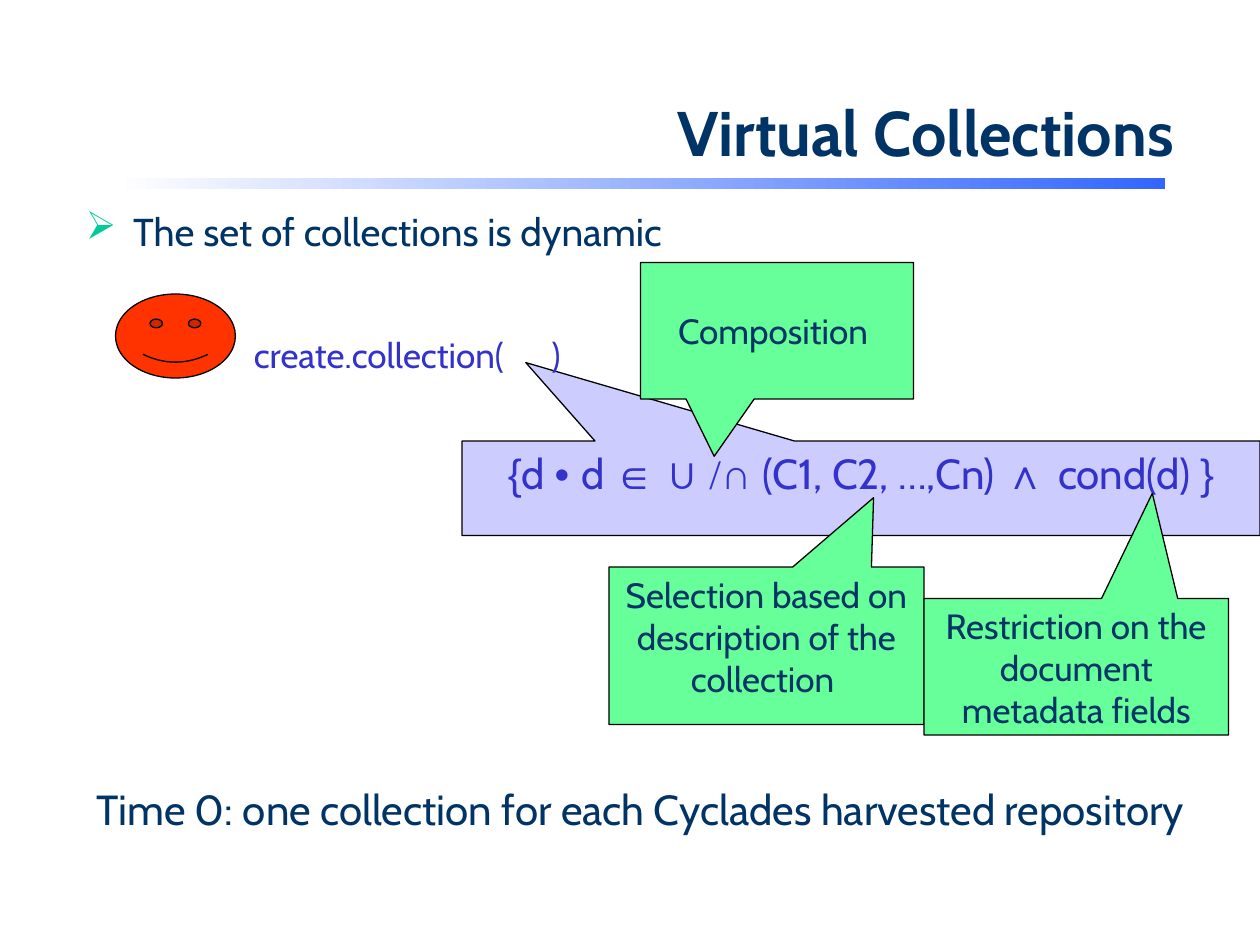
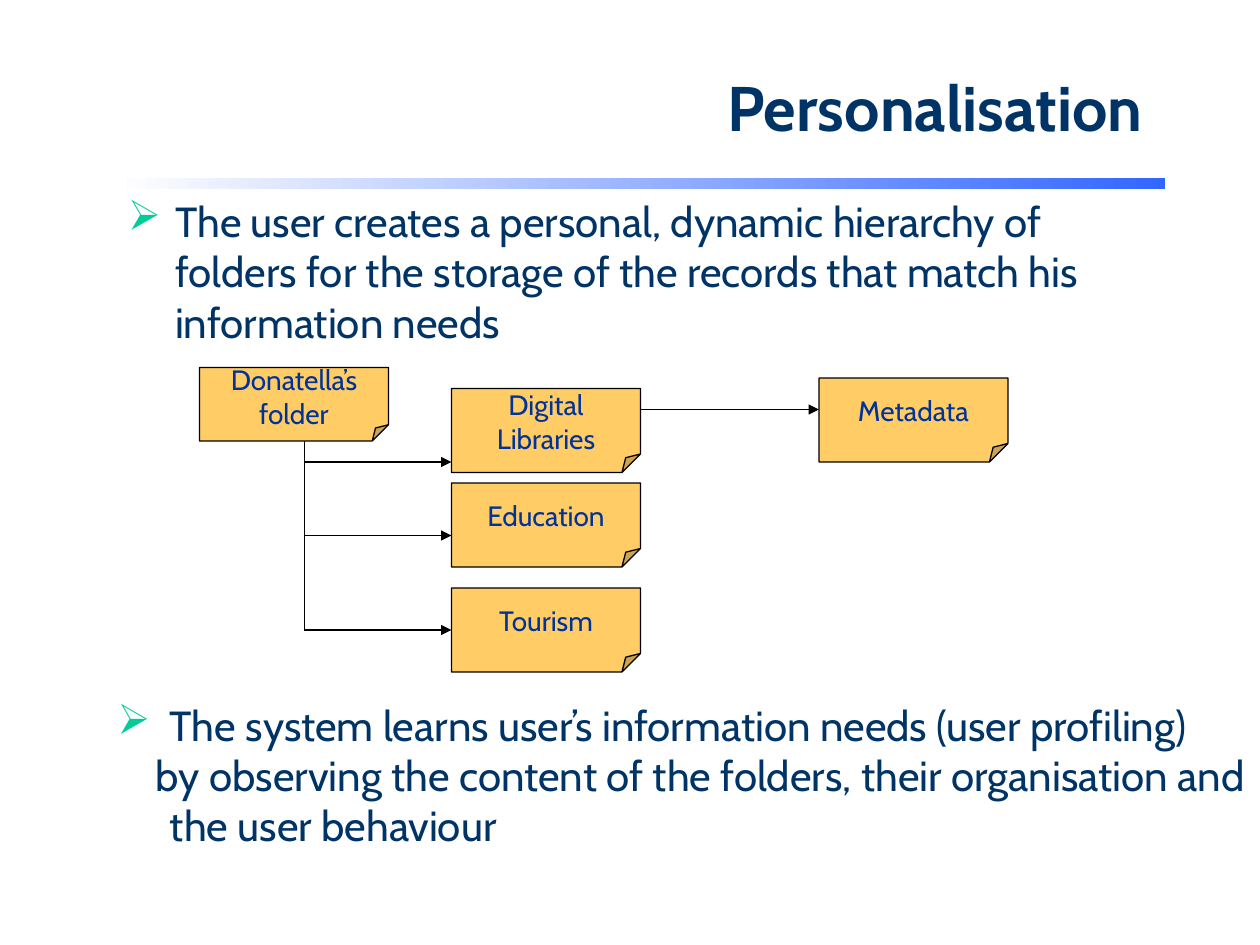
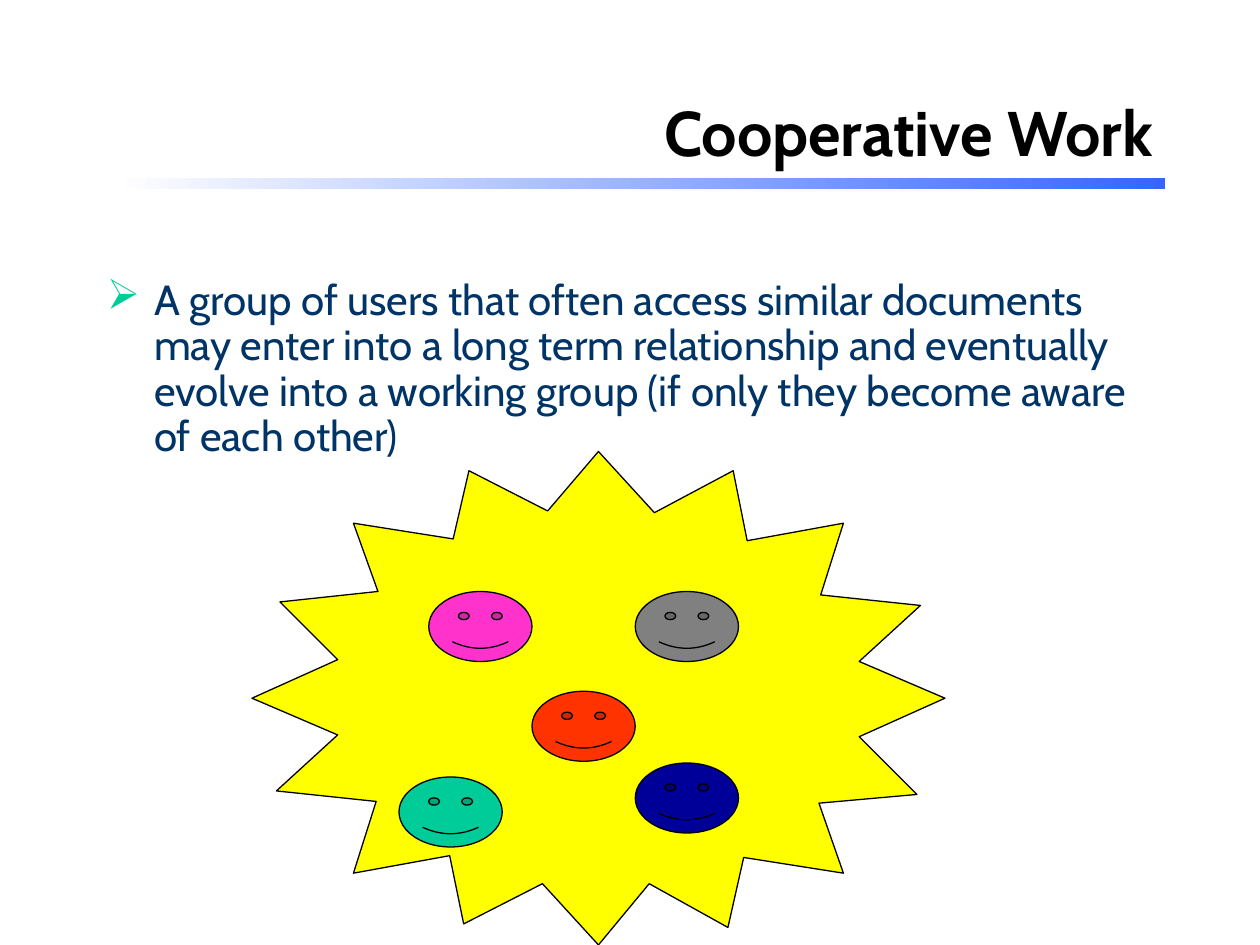
from lxml import etree
from pptx import Presentation
from pptx.dml.color import RGBColor
from pptx.enum import shapes, text
from pptx.oxml import ns
from pptx.util import Pt

NAVY = RGBColor(0x00, 0x33, 0x66)
INK = RGBColor(0x00, 0x33, 0x99)
VIOLET = RGBColor(0x33, 0x33, 0xCC)
LILAC = RGBColor(0xCC, 0xCC, 0xFF)
MINT = RGBColor(0x66, 0xFF, 0x99)
AMBER = RGBColor(0xFF, 0xCC, 0x66)
BAND_BLUE = RGBColor(0x33, 0x66, 0xFF)
RED = RGBColor(0xFF, 0x33, 0x00)
PINK = RGBColor(0xFF, 0x33, 0xCC)
TEAL = RGBColor(0x00, 0xCC, 0x99)
DARK_BLUE = RGBColor(0x00, 0x00, 0x99)
GRAY = RGBColor(0x80, 0x80, 0x80)
YELLOW = RGBColor(0xFF, 0xFF, 0x00)
WHITE = RGBColor(0xFF, 0xFF, 0xFF)
BLACK = RGBColor(0x00, 0x00, 0x00)

FONT = "Cabin"
SHAPE = shapes.MSO_SHAPE
TOP, MIDDLE = text.MSO_ANCHOR.TOP, text.MSO_ANCHOR.MIDDLE
CENTER = text.PP_ALIGN.CENTER

BAND = (66, 102, 600, 6)

FORMULA_BOX = (264, 252, 456, 54)
FORMULA_TAIL = {"adj1": -0.42, "adj2": -1.33}
FORMULA = [
    ("{", "Arial"), ("d ", FONT), ("• ", "Arial"), ("d ", FONT), ("∈ ∪ ", "Arial"),
    ("/", "Times New Roman"), ("∩ ", "Arial"), ("(C1, C2, …,Cn) ", FONT),
    ("∧ ", "Arial"), ("cond(d) ", FONT), ("}", "Arial"),
]
CALLOUTS = [
    ("Composition ", (366, 150, 156, 78), {"adj1": -0.23, "adj2": 0.92}, MIDDLE),
    ("Selection based on description of the collection ", (348, 324, 180, 90),
     {"adj1": 0.34, "adj2": -0.94}, TOP),
    ("Restriction on the document metadata fields", (528, 342, 174, 78),
     {"adj1": 0.25, "adj2": -1.27}, TOP),
]
CALL_PARTS = [("create.collection(", 20), ("\t", 24), (")", 20)]

FOLDER_LEFT, FOLDER_WIDTH, FOLDER_HEIGHT = 258, 108, 48
FOLDER_FOLD = {"adj": 0.22}
SUBFOLDERS = [("Digital\nLibraries", 222, 264), ("Education", 276, 306), ("Tourism", 336, 360)]
TRUNK_X, TRUNK_TOP = 174, 252
METADATA_LEFT, METADATA_TOP, METADATA_ARROW_Y = 468, 216, 234

STAR = [
    (144, 399), (193, 420), (158, 452), (215, 458), (202, 499), (257, 489), (265, 528), (310, 505),
    (342, 540), (371, 505), (416, 530), (425, 490), (482, 499), (468, 459), (524, 454), (491, 421),
    (540, 399), (491, 378), (526, 346), (469, 340), (482, 299), (427, 309), (419, 269), (374, 293),
    (342, 258), (313, 292), (268, 269), (259, 308), (202, 299), (216, 338), (160, 344), (193, 377),
]
USERS = [(PINK, 245, 338), (RED, 304, 395), (TEAL, 228, 444), (DARK_BLUE, 363, 436), (GRAY, 363, 338)]
USER_SIZE = (59, 40)


def points(box):
    return [Pt(value) for value in box]


def style_runs(paragraph, size, color):
    for run in paragraph.runs:
        run.font.name, run.font.size, run.font.color.rgb = FONT, Pt(size), color


def paint(shape, fill):
    shape.shadow.inherit = False
    shape.fill.solid()
    shape.fill.fore_color.rgb = fill
    shape.line.color.rgb = BLACK
    shape.line.width = Pt(0.75)


def adjust(shape, adjustments):
    geometry = shape.element.spPr.find(ns.qn("a:prstGeom"))
    for guides in geometry.findall(ns.qn("a:avLst")):
        geometry.remove(guides)
    guides = etree.SubElement(geometry, ns.qn("a:avLst"))
    for name, value in adjustments.items():
        etree.SubElement(guides, ns.qn("a:gd"), name=name, fmla=f"val {round(value * 100000)}")


def add_preset(slide, kind, box, fill, adjustments=None):
    shape = slide.shapes.add_shape(kind, *points(box))
    paint(shape, fill)
    if adjustments:
        adjust(shape, adjustments)
    return shape


def fill_text(shape, words, size, color, anchor):
    frame = shape.text_frame
    frame.text = words
    frame.vertical_anchor = anchor
    for paragraph in frame.paragraphs:
        paragraph.alignment = CENTER
        style_runs(paragraph, size, color)


def add_text(slide, box, words, size=24):
    frame = slide.shapes.add_textbox(*points(box)).text_frame
    frame.word_wrap = True
    frame.text = words
    for paragraph in frame.paragraphs:
        style_runs(paragraph, size, NAVY)
    return frame


def indent(paragraph, margin, first):
    properties = paragraph._p.get_or_add_pPr()
    properties.set("marL", str(Pt(margin)))
    properties.set("indent", str(Pt(first)))
    return properties


def add_bullet(paragraph, margin=27):
    properties = indent(paragraph, margin, -margin)
    color = etree.SubElement(properties, ns.qn("a:buClr"))
    etree.SubElement(color, ns.qn("a:srgbClr"), val=str(TEAL))
    etree.SubElement(properties, ns.qn("a:buChar"), char="➢")


def add_line(slide, start, end, arrow=True):
    line = slide.shapes.add_connector(shapes.MSO_CONNECTOR.STRAIGHT, *points(start + end))
    line.line.color.rgb = BLACK
    line.line.width = Pt(0.75)
    if arrow:
        etree.SubElement(line.line._get_or_add_ln(), ns.qn("a:tailEnd"), type="triangle")
    etree.SubElement(line.element.spPr, ns.qn("a:effectLst"))
    return line


def add_titled_slide(presentation, words, box, color=NAVY):
    slide = presentation.slides.add_slide(presentation.slide_layouts[5])
    title = slide.shapes.title
    title.left, title.top, title.width, title.height = points(box)
    frame = title.text_frame
    frame.text = words
    frame.vertical_anchor = MIDDLE
    frame.auto_size = text.MSO_AUTO_SIZE.NONE
    frame.paragraphs[0].alignment = text.PP_ALIGN.RIGHT
    style_runs(frame.paragraphs[0], 36, color)
    frame.paragraphs[0].runs[0].font.bold = True
    return slide


def put_band_on_layout(slide):
    band = slide.shapes.add_shape(SHAPE.RECTANGLE, *points(BAND))
    band.shadow.inherit = False
    band.line.fill.background()
    band.fill.gradient()
    band.fill.gradient_angle = 0
    for stop, color in zip(band.fill.gradient_stops, (WHITE, BAND_BLUE)):
        stop.color.rgb = color
    slide.slide_layout.shapes.element.append(band.element)


def build_collections(presentation):
    slide = add_titled_slide(presentation, "Virtual Collections", (66, 30, 612, 90))
    put_band_on_layout(slide)
    paragraph = add_text(slide, (42, 120, 390, 48), "The set of collections is dynamic", 22.2).paragraphs[0]
    add_bullet(paragraph)
    paragraph.line_spacing = 0.8

    formula = add_preset(slide, SHAPE.RECTANGULAR_CALLOUT, FORMULA_BOX, LILAC, FORMULA_TAIL)
    formula.text_frame.vertical_anchor = TOP
    paragraph = formula.text_frame.paragraphs[0]
    paragraph.alignment = CENTER
    for words, font in FORMULA:
        run = paragraph.add_run()
        run.text = words
        run.font.name, run.font.size, run.font.color.rgb = font, Pt(24), VIOLET

    for words, box, tail, anchor in CALLOUTS:
        callout = add_preset(slide, SHAPE.RECTANGULAR_CALLOUT, box, MINT, tail)
        fill_text(callout, words, 20, NAVY, anchor)

    add_text(slide, (48, 444, 672, 65), "Time 0: one collection for each Cyclades harvested repository")

    paragraph = add_text(slide, (138, 186, 222, 70), "").paragraphs[0]
    tabs = etree.SubElement(paragraph._p.get_or_add_pPr(), ns.qn("a:tabLst"))
    etree.SubElement(tabs, ns.qn("a:tab"), pos=str(Pt(170)), algn="l")
    paragraph.line_spacing = 0.9
    for words, size in CALL_PARTS:
        run = paragraph.add_run()
        run.text = words
        run.font.name, run.font.size, run.font.color.rgb = FONT, Pt(size), VIOLET
    add_preset(slide, SHAPE.SMILEY_FACE, (66, 168, 68.5, 48), RED)


def add_folder(slide, words, left, top, height=FOLDER_HEIGHT):
    folder = add_preset(slide, SHAPE.FOLDED_CORNER, (left, top, FOLDER_WIDTH, height), AMBER, FOLDER_FOLD)
    fill_text(folder, words, 16, INK, MIDDLE)
    return folder


def build_personalisation(presentation):
    slide = add_titled_slide(presentation, "Personalisation", (84, 36, 576, 50))
    frame = add_text(slide, (66, 108, 606, 96),
                     "The user creates a personal, dynamic hierarchy of folders for the storage "
                     "of the records that match his information needs")
    add_bullet(frame.paragraphs[0])

    add_folder(slide, "Donatella’s folder", 114, 210, 42)
    add_line(slide, (TRUNK_X, TRUNK_TOP), (TRUNK_X, SUBFOLDERS[-1][2]), arrow=False)
    for words, top, arrow_y in SUBFOLDERS:
        folder = add_folder(slide, words, FOLDER_LEFT, top)
        branch = add_line(slide, (TRUNK_X, arrow_y), (FOLDER_LEFT, arrow_y))
        if arrow_y == top + FOLDER_HEIGHT / 2:
            branch.end_connect(folder, 1)
    add_folder(slide, "Metadata", METADATA_LEFT, METADATA_TOP)
    add_line(slide, (FOLDER_LEFT + FOLDER_WIDTH, METADATA_ARROW_Y), (METADATA_LEFT, METADATA_ARROW_Y))

    frame = add_text(slide, (60, 396, 678, 122),
                     "The system learns user’s information needs (user profiling)\n"
                     "by observing the content of the folders, their organisation and the user behaviour")
    add_bullet(frame.paragraphs[0], 30)
    indent(frame.paragraphs[1], 30, -8)


def build_cooperation(presentation):
    slide = add_titled_slide(presentation, "Cooperative Work", (54, 30, 612, 90), BLACK)
    paragraph = add_text(slide, (54, 156, 618, 114),
                         "A group of users that often access similar documents may enter into a long term "
                         "relationship and eventually evolve into a working group (if only they become "
                         "aware of each other)").paragraphs[0]
    add_bullet(paragraph)
    paragraph.line_spacing = 0.9

    builder = slide.shapes.build_freeform(*STAR[0], scale=Pt(1))
    builder.add_line_segments(STAR[1:], close=True)
    paint(builder.convert_to_shape(), YELLOW)
    for color, left, top in USERS:
        add_preset(slide, SHAPE.SMILEY_FACE, (left, top) + USER_SIZE, color)


def main():
    presentation = Presentation()
    presentation.slide_width, presentation.slide_height = Pt(720), Pt(540)
    build_collections(presentation)
    build_personalisation(presentation)
    build_cooperation(presentation)
    presentation.save("out.pptx")


if __name__ == "__main__":
    main()
